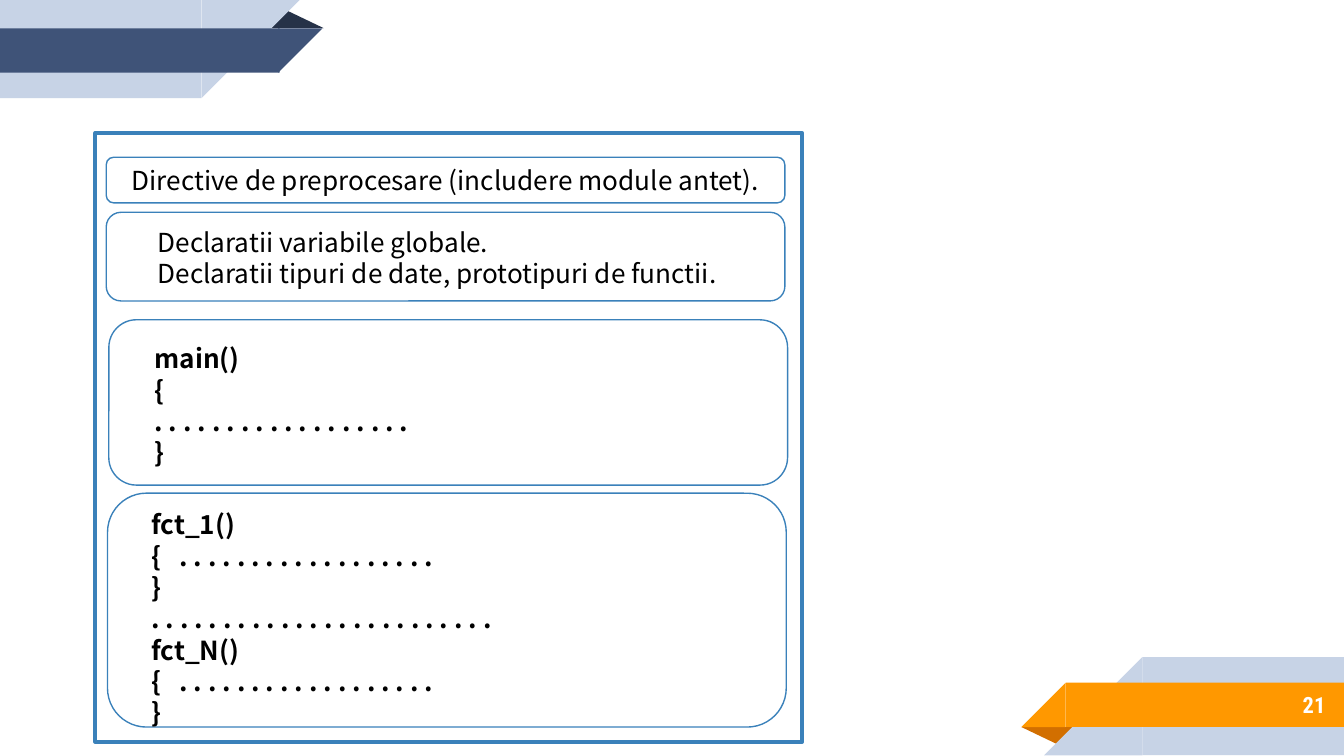
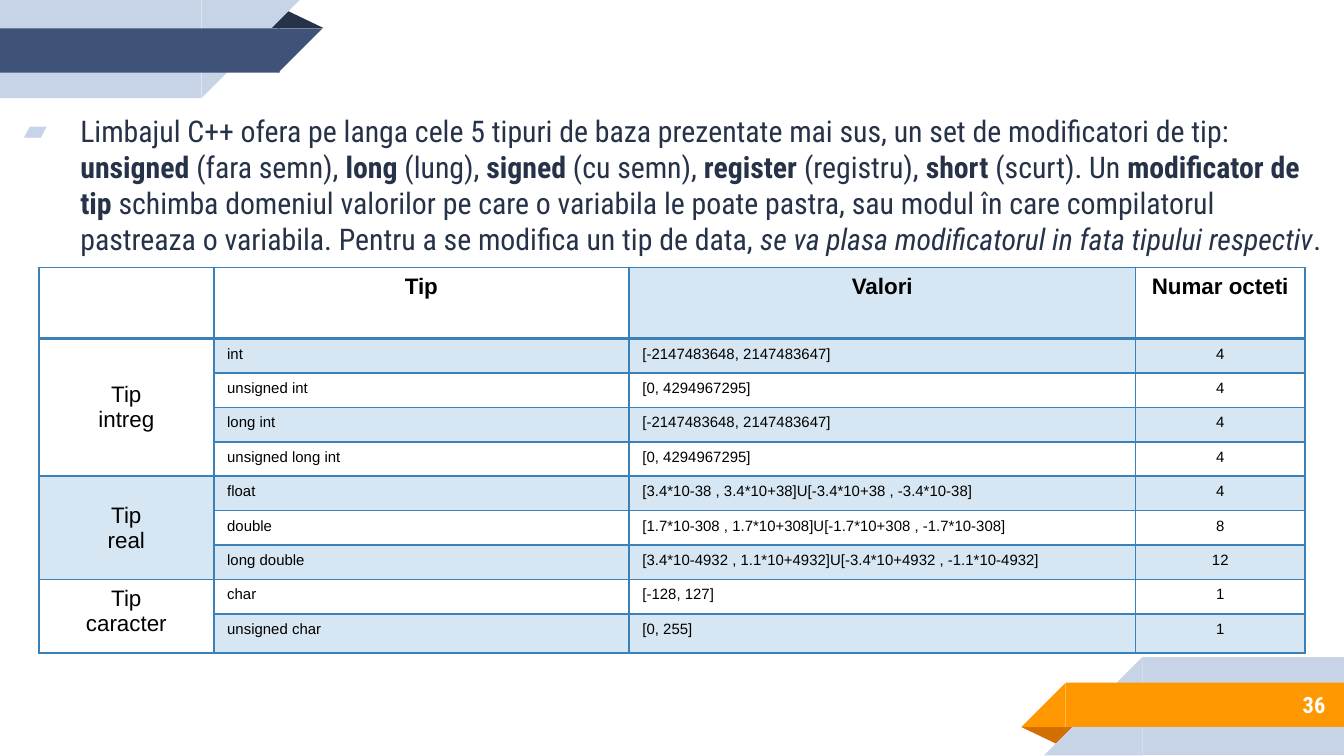
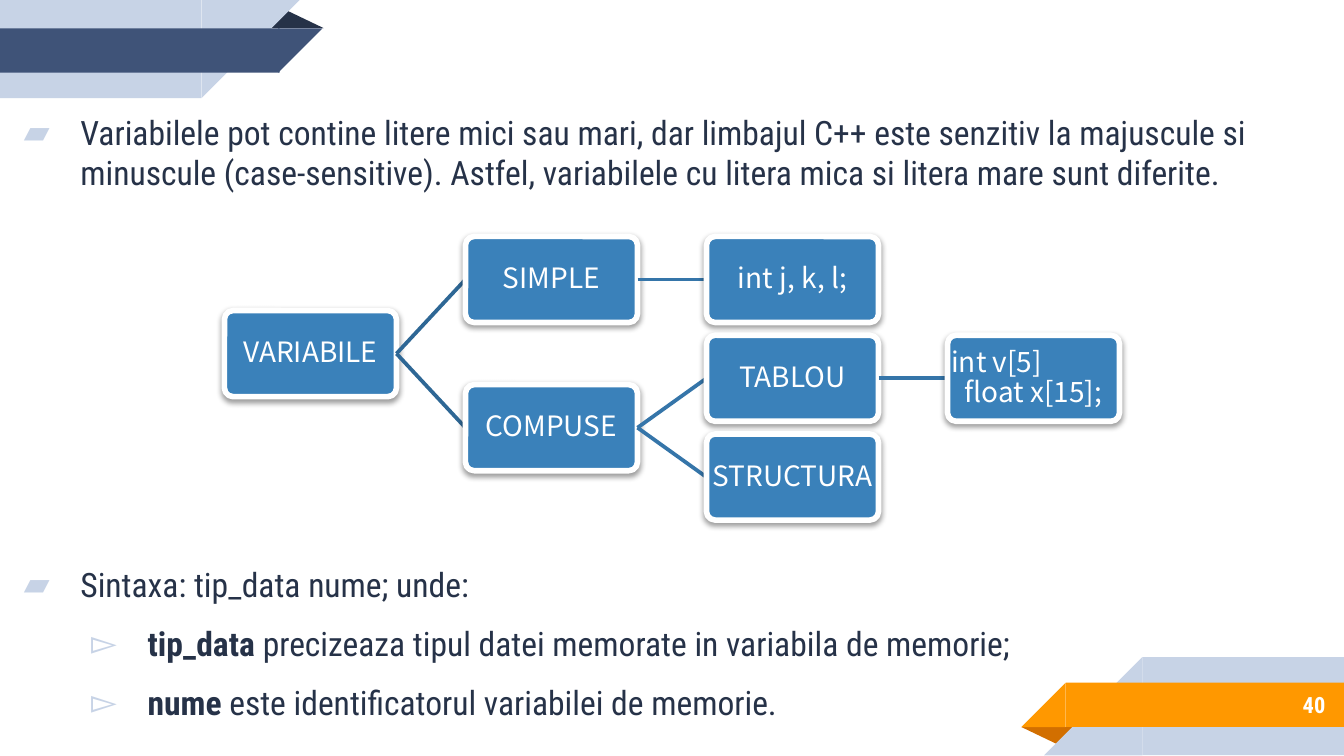
from lxml import etree
from pptx import Presentation, util as u
from pptx.dml.color import RGBColor
from pptx.enum import shapes as kinds, text
from pptx.oxml import ns

SHAPE = kinds.MSO_SHAPE
ALIGN = text.PP_ALIGN
ANCHOR = text.MSO_ANCHOR

SLIDE_WIDTH = 10
SLIDE_HEIGHT = SLIDE_WIDTH * 9 / 16

PALE, NAVY, INK, ORANGE, RUST = "C7D3E6", "3F5378", "263248", "FF9800", "D26F00"
BLUE, LIGHT_BLUE, WHITE, BLACK = "3A81BA", "D6E6F2", "FFFFFF", "000000"
CONDENSED, SANS, ARIAL = "Roboto Condensed", "Noto Sans CJK SC", "Arial"
BOLD, ITALIC, PLAIN = {"bold": True}, {"italic": True}, {}

HEADER_BAND = [
    (SHAPE.ISOSCELES_TRIANGLE, (1.98, 0.07, 0.43, 0.14), INK, 0, False),
    (SHAPE.RECTANGLE, (0, 0, 1.5, 0.73), PALE, 180, True),
    (SHAPE.RIGHT_TRIANGLE, (1.5, 0, 0.73, 0.73), PALE, 180, True),
    (SHAPE.RECTANGLE, (0, 0.21, 2.08, 0.33), NAVY, 180, True),
    (SHAPE.RIGHT_TRIANGLE, (2.07, 0.21, 0.33, 0.33), NAVY, 180, True),
]
FOOTER_BAND = [
    (SHAPE.ISOSCELES_TRIANGLE, (7.6, 5.41, 0.43, 0.14), RUST, 180, False),
    (SHAPE.RECTANGLE, (8.5, 4.89, 1.5, 0.73), PALE, 0, True),
    (SHAPE.RIGHT_TRIANGLE, (7.77, 4.89, 0.73, 0.73), PALE, 0, True),
    (SHAPE.RECTANGLE, (7.93, 5.08, 2.08, 0.33), ORANGE, 0, True),
    (SHAPE.RIGHT_TRIANGLE, (7.6, 5.08, 0.33, 0.33), ORANGE, 0, True),
]

PROGRAM_FRAME = (0.71, 0.99, 5.26, 4.53)
SHORT_DOTS = " ".join("." * 18)
LONG_DOTS = " ".join("." * 24)
PROGRAM_PARTS = [
    ((0.79, 1.58, 5.05, 0.66), (0.35, 0.07), PLAIN,
     ["Declaratii variabile globale.",
      "Declaratii tipuri de date, prototipuri de functii."]),
    ((0.81, 2.38, 5.05, 1.23), (0.28, 0.11), BOLD,
     ["main()", "{", SHORT_DOTS, "}"]),
    ((0.8, 3.67, 5.05, 1.74), (0.24, 0.03), BOLD,
     ["fct_1()", "{\t" + SHORT_DOTS, "}", LONG_DOTS,
      "fct_N()", "{\t" + SHORT_DOTS, "}"]),
]
DIRECTIVES_BOX = (0.79, 1.17, 5.05, 0.34)
DIRECTIVES = "Directive de preprocesare (includere module antet)."

MODIFIERS = [
    ("Limbajul C++ ofera pe langa cele 5 tipuri de baza prezentate mai sus, "
     "un set de modificatori de tip: ", PLAIN),
    ("unsigned ", BOLD), ("(fara semn), ", PLAIN),
    ("long ", BOLD), ("(lung), ", PLAIN),
    ("signed ", BOLD), ("(cu semn), ", PLAIN),
    ("register ", BOLD), ("(registru), ", PLAIN),
    ("short ", BOLD), ("(scurt). Un ", PLAIN),
    ("modificator de tip", BOLD),
    (" schimba domeniul valorilor pe care o variabila le poate pastra, sau modul "
     "în care compilatorul pastreaza o variabila. Pentru a se modifica un tip de "
     "data, ", PLAIN),
    ("se va plasa modificatorul in fata tipului respectiv", ITALIC), (".", PLAIN),
]
TYPE_HEADINGS = ["", "Tip", "Valori", "Numar octeti"]
TYPE_GROUPS = [
    (["Tip", "intreg"], ANCHOR.MIDDLE, [
        ("int", "[-2147483648, 2147483647]", "4"),
        ("unsigned int", "[0, 4294967295]", "4"),
        ("long int", "[-2147483648, 2147483647]", "4"),
        ("unsigned long int", "[0, 4294967295]", "4")]),
    (["Tip", "real"], ANCHOR.MIDDLE, [
        ("float", "[3.4*10-38 , 3.4*10+38]U[-3.4*10+38 , -3.4*10-38]", "4"),
        ("double", "[1.7*10-308 , 1.7*10+308]U[-1.7*10+308 , -1.7*10-308]", "8"),
        ("long double",
         "[3.4*10-4932 , 1.1*10+4932]U[-3.4*10+4932 , -1.1*10-4932]", "12")]),
    (["Tip", "caracter"], ANCHOR.TOP, [
        ("char", "[-128, 127]", "1"),
        ("unsigned char", "[0, 255]", "1")]),
]
TABLE_HEIGHT, HEADING_HEIGHT, LAST_HEIGHT = 2.87, 0.53, 0.29
TYPE_COLUMNS = [1.3, 3.09, 3.77, 1.26]
TYPE_ROWS = [HEADING_HEIGHT,
             *[(TABLE_HEIGHT - HEADING_HEIGHT - LAST_HEIGHT) / 8] * 8, LAST_HEIGHT]

VARIABLE_NOTES = [
    (0, 6, [("Variabilele pot contine litere mici sau mari, dar limbajul C++ este "
             "senzitiv la majuscule si minuscule (case-sensitive). Astfel, "
             "variabilele cu litera mica si litera mare sunt diferite.", PLAIN)]),
    (0, 199, [("Sintaxa: tip_data nume; unde:", PLAIN)]),
    (1, 10, [("tip_data", BOLD),
             (" precizeaza tipul datei memorate in variabila de memorie;", PLAIN)]),
    (1, 10, [("nume", BOLD),
             (" este identificatorul variabilei de memorie.", PLAIN)]),
]
CENTRED, LEFT = ALIGN.CENTER, ALIGN.LEFT
VARIABLE_TREE = ([("VARIABILE", CENTRED)], [
    ([("SIMPLE", CENTRED)], [([("int j, k, l;", CENTRED)], [])]),
    ([("COMPUSE", CENTRED)], [
        ([("TABLOU", CENTRED)], [
            ([("int v[5]", LEFT), ("float x[15];", CENTRED)], [])]),
        ([("STRUCTURA", CENTRED)], [])]),
])
TREE_LEFT, TREE_TOP = 1.67, 1.76
COLUMN_STEP = (7.05 - TREE_LEFT) / 3
ROW_STEP = (3.23 - TREE_TOP) / 2
NODE_WIDTH, NODE_HEIGHT = 1.28, 0.64


def rgb(value):
    return RGBColor.from_string(value)


def inches(values):
    return [u.Inches(value) for value in values]


def apply(target, values):
    for name, value in values.items():
        setattr(target, name, value)


def add_xml(parent, tag, **attributes):
    return etree.SubElement(parent, ns.qn(tag), attributes)


def add_run(paragraph, words, size, font, colour, style=PLAIN):
    run = paragraph.add_run()
    run.text = words
    apply(run.font, {"size": u.Pt(size), "name": font, **style})
    run.font.color.rgb = rgb(colour)


def next_paragraph(frame, index):
    return frame.add_paragraph() if index else frame.paragraphs[0]


def set_frame(frame, insets, anchor=ANCHOR.TOP):
    left, top, right, bottom = inches(insets)
    apply(frame, {"margin_left": left, "margin_top": top, "margin_right": right,
                  "margin_bottom": bottom, "word_wrap": True,
                  "vertical_anchor": anchor})


def add_box(shapes, kind, box, fill=None, line=None, width=0):
    shape = shapes.add_shape(kind, *inches(box))
    shape.shadow.inherit = False
    if fill:
        shape.fill.solid()
        shape.fill.fore_color.rgb = rgb(fill)
    else:
        shape.fill.background()
    if line:
        shape.line.color.rgb = rgb(line)
        shape.line.width = u.Pt(width)
    else:
        shape.line.fill.background()
    return shape


def add_band(slide, pieces):
    shapes = slide.shapes.add_group_shape().shapes
    for kind, box, colour, rotation, mirrored in pieces:
        shape = add_box(shapes, kind, box, colour)
        shape.rotation = rotation
        if mirrored:
            shape.element.spPr.find(ns.qn("a:xfrm")).set("flipH", "1")
        if kind == SHAPE.ISOSCELES_TRIANGLE:
            shape.adjustments[0] = 0.32


def add_slide(presentation, number):
    slide = presentation.slides.add_slide(presentation.slide_layouts[6])
    add_band(slide, HEADER_BAND)
    add_band(slide, FOOTER_BAND)
    frame = slide.shapes.add_textbox(*inches((8.33, 5.07, 1.63, 0.35))).text_frame
    set_frame(frame, [0.1] * 4, ANCHOR.MIDDLE)
    frame.paragraphs[0].alignment = ALIGN.RIGHT
    add_run(frame.paragraphs[0], str(number), 12, CONDENSED, WHITE, BOLD)
    return slide


def add_body(slide, top, paragraphs, size):
    box = (0, top, SLIDE_WIDTH, SLIDE_HEIGHT - top)
    frame = slide.shapes.add_textbox(*inches(box)).text_frame
    set_frame(frame, [0.1] * 4)
    for index, (level, before, runs) in enumerate(paragraphs):
        paragraph = next_paragraph(frame, index)
        apply(paragraph, {"level": level, "space_before": u.Pt(before)})
        properties = paragraph._p.get_or_add_pPr()
        properties.set("marL", str(u.Inches(0.5 * (level + 1))))
        properties.set("indent", str(u.Inches(-0.42)))
        add_xml(add_xml(properties, "a:buClr"), "a:srgbClr", val=PALE)
        add_xml(properties, "a:buFont", typeface=CONDENSED)
        add_xml(properties, "a:buChar", char="▰▻"[level])
        for words, style in runs:
            add_run(paragraph, words, size, CONDENSED, INK, style)


def build_program_slide(presentation):
    slide = add_slide(presentation, 21)
    add_box(slide.shapes, SHAPE.RECTANGLE, PROGRAM_FRAME, WHITE, BLUE, 2)
    directives = add_box(slide.shapes, SHAPE.ROUNDED_RECTANGLE, DIRECTIVES_BOX,
                         None, BLUE, 0.75)
    set_frame(directives.text_frame, (0.1, 0, 0.1, 0), ANCHOR.MIDDLE)
    directives.text_frame.paragraphs[0].alignment = ALIGN.CENTER
    add_run(directives.text_frame.paragraphs[0], DIRECTIVES, 14, SANS, BLACK)
    for box, (left, top), style, lines in PROGRAM_PARTS:
        part = add_box(slide.shapes, SHAPE.ROUNDED_RECTANGLE, box, None, BLUE, 0.75)
        set_frame(part.text_frame, (left, top, 0, 0))
        for index, line in enumerate(lines):
            paragraph = next_paragraph(part.text_frame, index)
            paragraph.alignment = ALIGN.LEFT
            if "\t" in line:
                tabs = add_xml(paragraph._p.get_or_add_pPr(), "a:tabLst")
                add_xml(tabs, "a:tab", pos=str(u.Inches(0.21)), algn="l")
            add_run(paragraph, line, 14, SANS, BLACK, style)


def add_borders(cell, row):
    properties = cell._tc.get_or_add_tcPr()
    heavy_side = {0: "B", 1: "T"}.get(row)
    for side in "LRTB":
        width = u.Pt(2 if side == heavy_side else 1)
        border = add_xml(properties, "a:ln" + side, w=str(width))
        add_xml(add_xml(border, "a:solidFill"), "a:srgbClr", val=BLUE)


def fill_cell(cell, lines, size, alignment, anchor=ANCHOR.TOP, style=PLAIN):
    cell.vertical_anchor = anchor
    for index, line in enumerate(lines):
        paragraph = next_paragraph(cell.text_frame, index)
        paragraph.alignment = alignment
        add_run(paragraph, line, size, ARIAL, BLACK, style)


def build_types_slide(presentation):
    slide = add_slide(presentation, 36)
    add_body(slide, 0.74, [(0, 6, MODIFIERS)], 16)
    box = (0.29, 1.99, sum(TYPE_COLUMNS), TABLE_HEIGHT)
    table = slide.shapes.add_table(len(TYPE_ROWS), len(TYPE_COLUMNS),
                                   *inches(box)).table
    apply(table, {"first_row": False, "horz_banding": False})
    for column, width in zip(table.columns, inches(TYPE_COLUMNS)):
        column.width = width
    for row, height in zip(table.rows, inches(TYPE_ROWS)):
        row.height = height

    shaded = {(0, 2)}
    for column, heading in enumerate(TYPE_HEADINGS):
        if heading:
            fill_cell(table.cell(0, column), [heading], 12, ALIGN.CENTER, style=BOLD)
    row = 1
    for number, (label, anchor, types) in enumerate(TYPE_GROUPS):
        table.cell(row, 0).merge(table.cell(row + len(types) - 1, 0))
        fill_cell(table.cell(row, 0), label, 12, ALIGN.CENTER, anchor)
        if number % 2:
            shaded.update((row + offset, 0) for offset in range(len(types)))
        for values in types:
            for column, value in enumerate(values, 1):
                alignment = ALIGN.CENTER if column == 3 else ALIGN.LEFT
                fill_cell(table.cell(row, column), [value], 8, alignment)
                if row % 2:
                    shaded.add((row, column))
            row += 1

    for row in range(len(TYPE_ROWS)):
        for column in range(len(TYPE_COLUMNS)):
            cell = table.cell(row, column)
            add_borders(cell, row)
            if (row, column) in shaded:
                cell.fill.solid()
                cell.fill.fore_color.rgb = rgb(LIGHT_BLUE)
            else:
                cell.fill.background()


def leaf_count(node):
    return sum(map(leaf_count, node[1])) or 1


def row_of(node, first_row):
    rows = []
    for child in node[1]:
        rows.append(row_of(child, first_row))
        first_row += leaf_count(child)
    return sum(rows) / len(rows) if rows else first_row


def add_node(shapes, lines, left, top):
    node = add_box(shapes, SHAPE.ROUNDED_RECTANGLE,
                   (left, top, NODE_WIDTH, NODE_HEIGHT), BLUE, WHITE, 3)
    node.adjustments[0] = 0.1
    effects = node.element.spPr.find(ns.qn("a:effectLst"))
    shadow = add_xml(effects, "a:outerShdw", blurRad=str(u.Pt(3.1)),
                     dist=str(u.Pt(1.6)), dir="5400000", rotWithShape="0")
    add_xml(add_xml(shadow, "a:srgbClr", val=BLACK), "a:alpha", val="38000")
    set_frame(node.text_frame, [0.01] * 4, ANCHOR.MIDDLE)
    for index, (line, alignment) in enumerate(lines):
        paragraph = next_paragraph(node.text_frame, index)
        apply(paragraph, {"alignment": alignment, "line_spacing": 0.9})
        add_run(paragraph, line, 15, SANS, WHITE)


def add_branch(shapes, node, depth=0, first_row=0):
    lines, children = node
    left = TREE_LEFT + depth * COLUMN_STEP
    top = TREE_TOP + row_of(node, first_row) * ROW_STEP
    add_node(shapes, lines, left, top)
    for child in children:
        child_top = TREE_TOP + row_of(child, first_row) * ROW_STEP
        ends = (left + NODE_WIDTH, top + NODE_HEIGHT / 2,
                left + COLUMN_STEP, child_top + NODE_HEIGHT / 2)
        link = shapes.add_connector(kinds.MSO_CONNECTOR.STRAIGHT, *inches(ends))
        link.line.color.rgb = rgb("3575A9" if depth else "2E6795")
        link.line.width = u.Pt(2)
        add_xml(link._element.spPr, "a:effectLst")
        add_branch(shapes, child, depth + 1, first_row)
        first_row += leaf_count(child)


def build_variables_slide(presentation):
    slide = add_slide(presentation, 40)
    add_body(slide, 0.73, VARIABLE_NOTES, 18)
    add_branch(slide.shapes.add_group_shape().shapes, VARIABLE_TREE)


def main():
    presentation = Presentation()
    apply(presentation, {"slide_width": u.Inches(SLIDE_WIDTH),
                         "slide_height": u.Inches(SLIDE_HEIGHT)})
    build_program_slide(presentation)
    build_types_slide(presentation)
    build_variables_slide(presentation)
    presentation.save("out.pptx")


if __name__ == "__main__":
    main()
